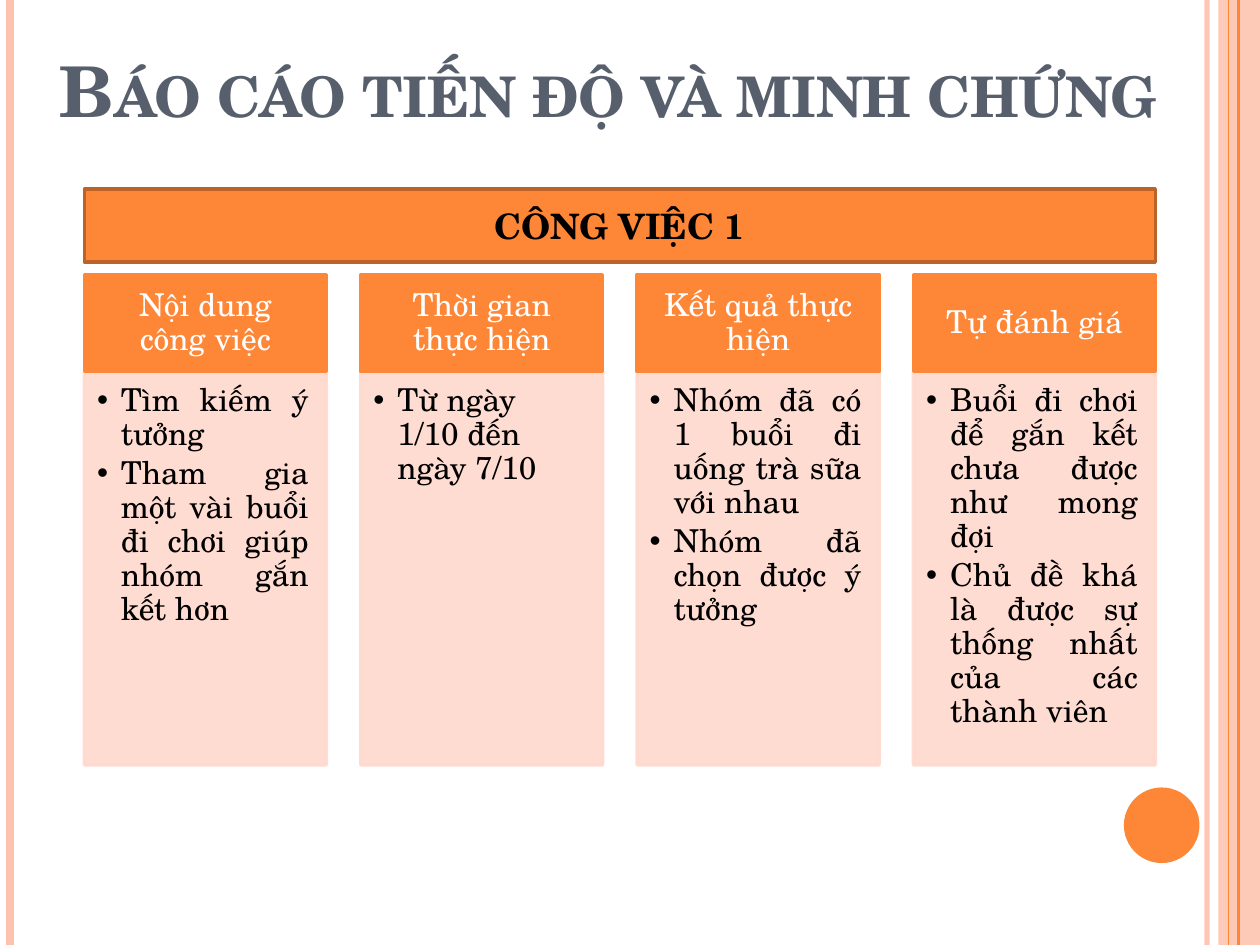
from pptx import Presentation
from pptx import util as u
from pptx.dml.color import RGBColor
from pptx.enum import shapes, text
from pptx.oxml.ns import qn
from lxml import etree

ORANGE = RGBColor(0xFE, 0x86, 0x37)
BROWN = RGBColor(0xBC, 0x63, 0x29)
PEACH = RGBColor(0xFE, 0xC3, 0xAE)
PALE = RGBColor(0xFF, 0xD9, 0xCE)
SLATE = RGBColor(0x57, 0x5F, 0x6D)
BLACK = RGBColor(0, 0, 0)
WHITE = RGBColor(255, 255, 255)
FONT = "TeX Gyre Schola"
AL = text.PP_ALIGN
ANC = text.MSO_ANCHOR


def paint(sp, fill, line=None, width=2, alpha=100):
    sp.shadow.inherit = False
    sp.fill.solid()
    sp.fill.fore_color.rgb = fill
    if line is None:
        sp.line.fill.background()
    else:
        sp.line.color.rgb = line
        sp.line.width = u.Pt(width)
    if alpha < 100:
        for clr in sp._element.spPr.iter(qn("a:srgbClr")):
            etree.SubElement(clr, qn("a:alpha")).set("val", str(alpha * 1000))


def write(sp, lines, size=18, color=BLACK, bold=False, align=AL.CENTER, anchor=ANC.MIDDLE,
          margins=(0.1, 0.05, 0.1, 0.05), spacing=1.0, after=0, bullet=False, small_caps=False):
    tf = sp.text_frame
    tf.word_wrap = True
    tf.auto_size = text.MSO_AUTO_SIZE.NONE
    tf.vertical_anchor = anchor
    tf.margin_left, tf.margin_top, tf.margin_right, tf.margin_bottom = map(u.Inches, margins)
    for i, line in enumerate(lines):
        p = tf.add_paragraph() if i else tf.paragraphs[0]
        if bullet:
            pPr = p._p.get_or_add_pPr()
            pPr.set("marL", str(u.Inches(0.19)))
            pPr.set("indent", str(-u.Inches(0.19)))
            etree.SubElement(pPr, qn("a:buFont")).set("typeface", "Arial")
            etree.SubElement(pPr, qn("a:buChar")).set("char", "•")
        p.alignment = align
        p.line_spacing = spacing
        p.space_before = u.Pt(0)
        p.space_after = u.Pt(after)
        r = p.add_run()
        r.text = line
        r.font.name, r.font.size, r.font.bold = FONT, u.Pt(size), bold
        r.font.color.rgb = color
        if small_caps:
            r._r.get_or_add_rPr().set("cap", "small")


prs = Presentation()
prs.slide_width, prs.slide_height = u.Inches(10), u.Inches(7.5)
W, H = prs.slide_width, prs.slide_height
s = prs.slides.add_slide(prs.slide_layouts.get_by_name("Comparison"))
for ph in list(s.placeholders):
    if ph.placeholder_format.idx >= 10:
        ph._element.getparent().remove(ph._element)
title, *bodies = s.placeholders

band = s.shapes.add_shape(shapes.MSO_SHAPE.RECTANGLE, int(W * 0.967), 0, int(W * 0.033), H)
paint(band, PEACH, alpha=87)
for x, color, width, alpha in [(0.958, PEACH, 3, 93), (0.008, PEACH, 4.5, 100),
                               (0.983, ORANGE, 1.5, 100), (0.975, ORANGE, 0.75, 100)]:
    stripe = s.shapes.add_connector(shapes.MSO_CONNECTOR.STRAIGHT, int(W * x), 0, int(W * x), H)
    stripe.line.color.rgb = color
    stripe.line.width = u.Pt(width)
    spPr = stripe._element.spPr
    if alpha < 100:
        clr = next(spPr.iter(qn("a:srgbClr")))
        etree.SubElement(clr, qn("a:alpha")).set("val", str(alpha * 1000))
    etree.SubElement(spPr, qn("a:effectLst"))
dot = s.shapes.add_shape(shapes.MSO_SHAPE.OVAL, u.Inches(8.92), u.Inches(6.25), u.Inches(0.6), u.Inches(0.6))
paint(dot, ORANGE)

title.left, title.top, title.width, title.height = map(u.Inches, (0.33, 0.42, 9, 0.67))
write(title, ["Báo cáo tiến độ và minh chứng"], size=40, color=SLATE, bold=True,
      anchor=ANC.BOTTOM, small_caps=True)

left, total = u.Inches(0.67), u.Inches(8.5)
col_w, head_top, head_h, body_h = map(u.Inches, (1.92, 2.18, 0.77, 3.12))
columns = [
    ("Nội dung công việc", AL.JUSTIFY,
     ["Tìm kiếm ý tưởng", "Tham gia một vài buổi đi chơi giúp nhóm gắn kết hơn"]),
    ("Thời gian thực hiện", AL.LEFT, ["Từ ngày 1/10 đến ngày 7/10"]),
    ("Kết quả thực hiện", AL.JUSTIFY,
     ["Nhóm đã có 1 buổi đi uống trà sữa với nhau", "Nhóm đã chọn được ý tưởng"]),
    ("Tự đánh giá", AL.JUSTIFY,
     ["Buổi đi chơi để gắn kết chưa được như mong đợi",
      "Chủ đề khá là được sự thống nhất của các thành viên"]),
]
pitch = (total - col_w) // (len(columns) - 1)
for i, (heading, align, items) in enumerate(columns):
    x = left + i * pitch
    head = s.shapes.add_shape(shapes.MSO_SHAPE.RECTANGLE, x, head_top, col_w, head_h)
    paint(head, ORANGE, ORANGE)
    write(head, [heading], color=WHITE, margins=(0.14, 0.08, 0.14, 0.08), spacing=0.9)
    body = bodies[i]
    body.left, body.top, body.width, body.height = x, head_top + head_h, col_w, body_h
    paint(body, PALE, PALE, alpha=90)
    write(body, items, align=align, anchor=ANC.TOP, margins=(0.1, 0.1, 0.14, 0.16),
          spacing=0.9, after=2.7, bullet=True)

banner = s.shapes.add_shape(shapes.MSO_SHAPE.RECTANGLE, left, u.Inches(1.5), total, u.Inches(0.58))
paint(banner, ORANGE, BROWN)
write(banner, ["CÔNG VIỆC 1"], size=20, bold=True)

prs.save("out.pptx")
